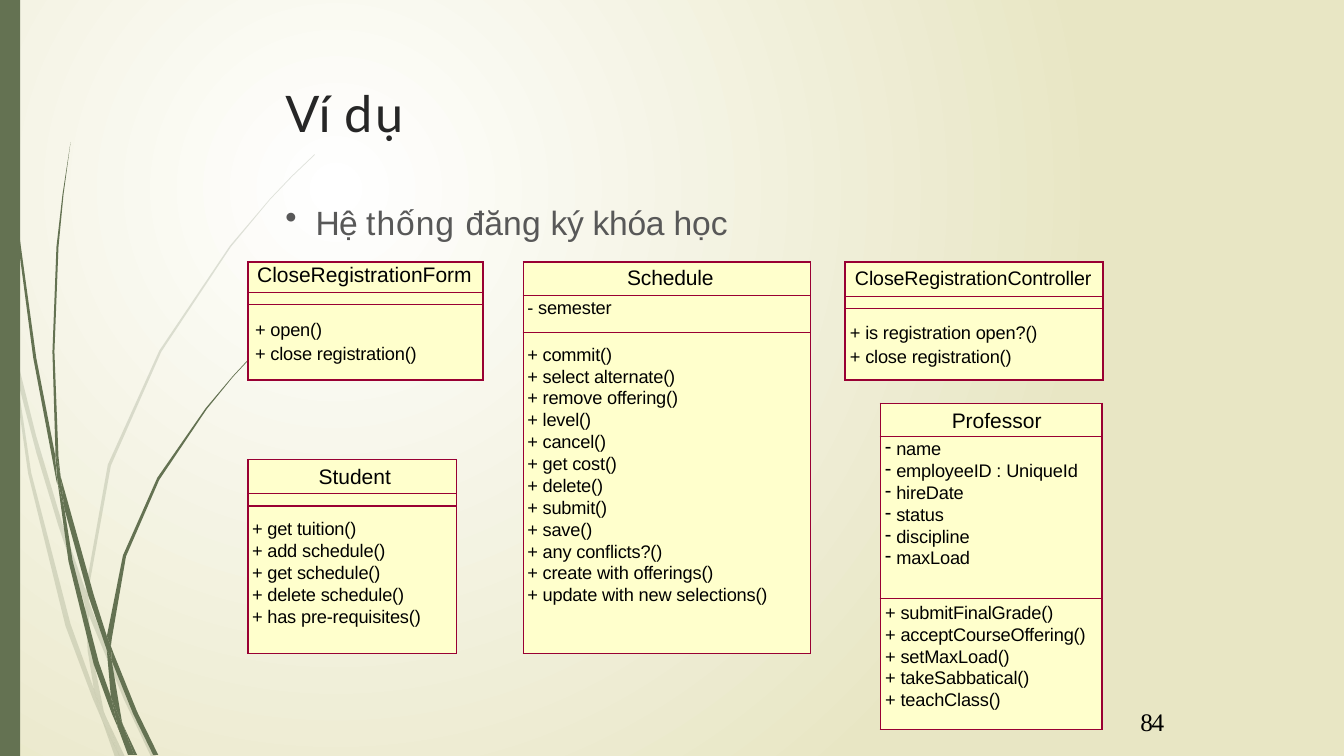
import pptx
import pptx.dml.color
import pptx.enum.shapes
import pptx.enum.text
import pptx.oxml.ns
import pptx.util
from lxml import etree

THEME = {
    "stem": "647252", "glow": "FFFFFF", "sand": "E8E6C4",
    "class_fill": "FFFFCC", "class_line": "990033",
    "title": "262626", "body": "585858", "ink": "000000",
    "sans": "Arial", "heading": "Lato", "serif": "Times New Roman",
    "title_size": 36, "body_size": 24, "number_size": 18,
    "class_size": 15, "long_class_size": 14, "member_size": 13, "gap_size": 6,
}
GRID = pptx.util.Inches(0.01)  # the slide is a grid of 1333 columns by 750 rows
COLUMNS, ROWS = 1333, 750
qualified = pptx.oxml.ns.qn


def color(name):
    return pptx.dml.color.RGBColor.from_string(THEME[name])


def write_paragraph(frame, index, runs, font, size, ink, before=0, margin=0, indent=0, bullet=None):
    """Write one paragraph; runs holds pairs of text and letter spacing in points."""
    paragraph = frame.paragraphs[0] if index == 0 else frame.add_paragraph()
    paragraph.space_before = pptx.util.Pt(before)
    properties = paragraph._p.get_or_add_pPr()
    properties.set("marL", str(margin * GRID))
    properties.set("indent", str(indent * GRID))
    if bullet:
        etree.SubElement(properties, qualified("a:buChar"), char=bullet)
    for text, spacing in runs:
        run = paragraph.add_run()
        run.text = text
        run.font.name = THEME[font]
        run.font.size = pptx.util.Pt(THEME[size])
        run.font.color.rgb = color(ink)
        run._r.get_or_add_rPr().set("spc", str(round(spacing * 100)))


presentation = pptx.Presentation()
presentation.slide_width = COLUMNS * GRID
presentation.slide_height = ROWS * GRID
slide = presentation.slides.add_slide(presentation.slide_layouts[6])

# Background: a round glow centred on the upper left quarter
background = slide.background.fill
background.gradient()
for stop, name, position in zip(background.gradient_stops, ("glow", "sand"), (0, 1)):
    stop.color.rgb = color(name)
    stop.position = position
gradient = slide._element.find(".//" + qualified("a:gradFill"))
for linear in gradient.findall(qualified("a:lin")):
    gradient.remove(linear)
circle = etree.SubElement(gradient, qualified("a:path"), path="circle")
etree.SubElement(circle, qualified("a:fillToRect"), l="50000", t="50000", r="100000", b="100000")

# Grass: the outline of each piece of a blade, as column,row points
faint_blades = [
    "11,350 9,322 0,282 0,299 10,344",
    "58,522 84,599 85,586 62,520 36,433 14,345 17,376 36,449",
    "92,607 88,596 88,610 123,694 150,751 155,751 127,692",
    "119,751 124,751 105,711",
    "93,683 70,619 31,469 17,376 11,350 28,470 65,621 92,693 101,714 99,707",
    "84,599 87,646 93,683 96,692 105,711 103,706 91,646 88,610 88,608",
    "88,584 110,462 160,349 229,245 268,198 290,175 312,154 312,153 289,175 268,197 228,244 158,348 107,461 "
    "85,584 85,586 88,596",
    "101,714 114,751 119,751",
    "88,608 88,610 88,596 85,586 84,599",
    "96,692 93,683 99,707 101,714 119,751 105,711",
]
solid_blades = [
    "7,110 17,233 33,355 56,477 57,481 55,457 55,453 36,355 19,232 8,109 5,48 4,0 3,0 4,48",
    "88,592 106,645 106,633 106,631 93,590 60,472 64,505",
    "113,649 110,641 111,656 132,708 152,749 157,749 136,706",
    "110,691 98,657 72,556 64,505 57,477 68,557 93,659 111,708 117,722 116,717",
    "60,472 58,453 54,349 58,245 63,193 70,141 62,193 56,245 52,349 55,449",
    "133,749 136,749 122,719",
    "57,477 64,505 60,472 55,449 55,453",
    "111,633 125,552 158,476 205,406 231,374 245,359 261,344 260,344 245,358 231,373 204,405 156,474 122,551 "
    "106,631 110,641",
    "117,722 127,749 131,749",
    "106,645 110,691 116,706 122,719 121,716 111,656 109,651",
    "106,645 109,651 111,656 110,641 106,631 106,633",
    "116,706 110,691 116,717 117,722 130,749 133,749 122,719",
]
for blades, opacity in ((faint_blades, 20), (solid_blades, 100)):
    tuft = slide.shapes.add_group_shape()
    for blade in blades:
        outline = [tuple(int(number) * GRID for number in point.split(",")) for point in blade.split()]
        builder = tuft.shapes.build_freeform(*outline[0])
        builder.add_line_segments(outline[1:], close=True)
        shape = builder.convert_to_shape()
        shape.shadow.inherit = False
        shape.line.fill.background()
        shape.fill.solid()
        shape.fill.fore_color.rgb = color("stem")
        if opacity < 100:
            tint = shape._element.spPr.find(".//" + qualified("a:srgbClr"))
            etree.SubElement(tint, qualified("a:alpha"), val=str(opacity * 1000))

# Side bar
bar = slide.shapes.add_shape(pptx.enum.shapes.MSO_SHAPE.RECTANGLE, 0, 0, 20 * GRID, ROWS * GRID)
bar.shadow.inherit = False
bar.fill.solid()
bar.fill.fore_color.rgb = color("stem")
bar.line.fill.background()

# Subtitle, slide number and title
texts = [
    ((282, 199, 441, 43), [("Hệ ", -0.6), ("thống ", 0.7), ("đăng ", 0.1), ("ký khóa ", -0.2), ("học", -0.1)],
     "sans", "body_size", "body", 1, 31, -30, "•"),
    ((1127, 700, 31, 31), [("84", -0.9)], "serif", "number_size", "ink", 0.5, 4, 0, None),
    ((282, 80, 119, 62), [("Ví ", 0.2), ("dụ", 1.9)], "heading", "title_size", "title", 1.1, 1, 0, None),
]
for place, runs, *style in texts:
    frame = slide.shapes.add_textbox(*(length * GRID for length in place)).text_frame
    frame.word_wrap = True
    frame.auto_size = pptx.enum.text.MSO_AUTO_SIZE.SHAPE_TO_FIT_TEXT
    frame.margin_left = frame.margin_right = frame.margin_bottom = 0
    frame.margin_top = GRID
    write_paragraph(frame, 0, runs, *style)

# Classes: left, top, width, then per compartment: height, lines, size,
# letter spacing, space before, gap between lines, margin, indent, bullet
classes = [
    (246, 260, 233, [
        (30, ["CloseRegistrationForm"], "class_size", 0, 0.9, 0, 9, 0, None),
        (12, []),
        (75, ["+ open()", "+ close registration()"], "member_size", -0.1, 11.2, 2.4, 7, 0, None)]),
    (246, 456, 207, [
        (34, ["Student"], "class_size", 0, 4.1, 0, 70, 0, None),
        (12, []),
        (146, ["+ get tuition()", "+ add schedule()", "+ get schedule()", "+ delete schedule()",
               "+ has pre-requisites()"], "member_size", -0.1, 9.7, 1.1, 4, 0, None)]),
    (519, 260, 285, [
        (33, ["Schedule"], "class_size", -0.1, 3, 0, 103, 0, None),
        (37, ["- semester"], "member_size", -0.1, 1.9, 0, 4, 0, None),
        (318, ["+ commit()", "+ select alternate()", "+ remove offering()", "+ level()", "+ cancel()",
               "+ get cost()", "+ delete()", "+ submit()", "+ save()", "+ any conflicts?()",
               "+ create with offerings()", "+ update with new selections()"],
         "member_size", -0.1, 8.7, 1.1, 4, 0, None)]),
    (873, 400, 220, [
        (33, ["Professor"], "class_size", 0, 4.2, 0, 71, 0, None),
        (161, ["name", "employeeID : UniqueId", "hireDate", "status", "discipline", "maxLoad"],
         "member_size", -0.1, 1.9, 1.1, 16, -11, "-"),
        (130, ["+ submitFinalGrade()", "+ acceptCourseOffering()", "+ setMaxLoad()", "+ takeSabbatical()",
               "+ teachClass()"], "member_size", -0.1, 3, 1.1, 5, 0, None)]),
    (838, 260, 256, [
        (34, ["CloseRegistrationController"], "long_class_size", -0.1, 4.1, 0, 10, 0, None),
        (12, []),
        (71, ["+ is registration open?()", "+ close registration()"], "member_size", -0.1, 10.8, 2.3, 5, 0, None)]),
]
for left, top, width, compartments in classes:
    height = sum(compartment[0] for compartment in compartments)
    table = slide.shapes.add_table(len(compartments), 1, left * GRID, top * GRID, width * GRID, height * GRID).table
    table.first_row = table.horz_banding = False
    for row, (row_height, lines, *style) in enumerate(compartments):
        table.rows[row].height = row_height * GRID
        cell = table.cell(row, 0)
        cell.margin_left = cell.margin_right = cell.margin_top = cell.margin_bottom = 0
        for side in ("a:lnL", "a:lnR", "a:lnT", "a:lnB"):
            border = etree.SubElement(cell._tc.get_or_add_tcPr(), qualified(side), w=str(pptx.util.Pt(1)))
            paint = etree.SubElement(border, qualified("a:solidFill"))
            etree.SubElement(paint, qualified("a:srgbClr"), val=THEME["class_line"])
        cell.fill.solid()
        cell.fill.fore_color.rgb = color("class_fill")
        if not lines:
            etree.SubElement(cell.text_frame.paragraphs[0]._p, qualified("a:endParaRPr"),
                             sz=str(THEME["gap_size"] * 100))
            continue
        size, spacing, before, gap, margin, indent, bullet = style
        cell.margin_top = pptx.util.Pt(before)
        for index, line in enumerate(lines):
            write_paragraph(cell.text_frame, index, [(line, spacing)], "sans", size, "ink",
                            gap if index else before, margin, indent, bullet)

presentation.save("out.pptx")
